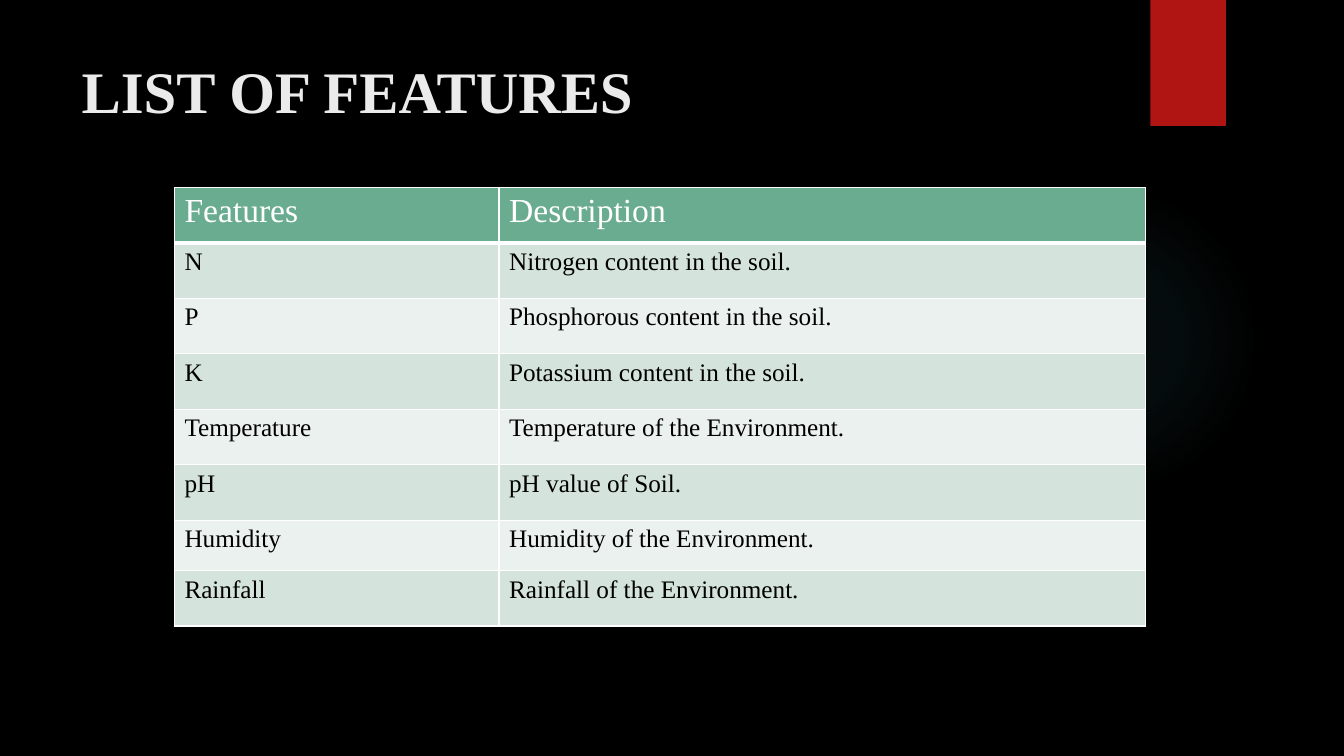
from lxml import etree
from pptx import Presentation
from pptx.dml.color import RGBColor
from pptx.enum.shapes import MSO_SHAPE
from pptx.enum.text import MSO_ANCHOR, PP_ALIGN
from pptx.oxml import parse_xml
from pptx.oxml.ns import nsdecls, qn
from pptx.util import Inches, Pt

OVAL, RECT = MSO_SHAPE.OVAL, MSO_SHAPE.RECTANGLE
TOP, LEFT = MSO_ANCHOR.TOP, PP_ALIGN.LEFT

BLACK = RGBColor(0x00, 0x00, 0x00)
WHITE = RGBColor(0xFF, 0xFF, 0xFF)
TITLE_GREY = RGBColor(0xEB, 0xEB, 0xEB)
RED = RGBColor(0xB0, 0x15, 0x13)
GLOW_TEAL = RGBColor(0x50, 0xB9, 0xC1)
HEADER_GREEN = RGBColor(0x6A, 0xAC, 0x90)
BANDS = [RGBColor(0xD4, 0xE3, 0xDB), RGBColor(0xEB, 0xF1, 0xEE)]

FONT = "Times New Roman"
GLOW_STOPS = [(0, 7), (36, 6), (69, 0)]  # position and opacity in percent
COLUMN_WIDTHS = [3.22, 6.41]
ROW_HEIGHTS = [0.55] * 6 + [0.5, 0.55]
FEATURES = [
    ("Features", "Description"),
    ("N", "Nitrogen content in the soil."),
    ("P", "Phosphorous content in the soil."),
    ("K", "Potassium content in the soil."),
    ("Temperature", "Temperature of the Environment."),
    ("pH", "pH value of Soil."),
    ("Humidity", "Humidity of the Environment."),
    ("Rainfall", "Rainfall of the Environment."),
]


def format_text(tf, text, size, color, bold=False):
    p = tf.paragraphs[0]
    p.alignment = LEFT
    r = p.add_run()
    r.text = text
    for name, value in {"name": FONT, "size": Pt(size), "bold": bold}.items():
        setattr(r.font, name, value)
    r.font.color.rgb = color


def add_plain_shape(slide, kind, left, top, width, height, color):
    sp = slide.shapes.add_shape(
        kind, Inches(left), Inches(top), Inches(width), Inches(height))
    sp.shadow.inherit = False
    sp.fill.solid()
    sp.fill.fore_color.rgb = color
    sp.line.fill.background()
    return sp


def fade_radially(sp, color, stops):
    """Replace the solid fill with a gradient of changing opacity."""
    stop_xml = "".join(
        f'<a:gs pos="{pos * 1000}"><a:srgbClr val="{color}">'
        f'<a:alpha val="{alpha * 1000}"/></a:srgbClr></a:gs>'
        for pos, alpha in stops)
    gradient = parse_xml(
        f'<a:gradFill {nsdecls("a")}><a:gsLst>{stop_xml}</a:gsLst>'
        '<a:path path="circle">'
        '<a:fillToRect l="50000" t="50000" r="50000" b="50000"/>'
        '</a:path></a:gradFill>')
    sp_pr = sp.element.spPr
    sp_pr.replace(sp_pr.find(qn("a:solidFill")), gradient)


def set_borders(cell, widths):
    """Draw white cell borders; widths maps a side (L, R, T, B) to points."""
    tc_pr = cell._tc.get_or_add_tcPr()
    for i, (side, width) in enumerate(widths.items()):
        line = etree.Element(qn(f"a:ln{side}"), w=str(Pt(width)))
        fill = etree.SubElement(line, qn("a:solidFill"))
        etree.SubElement(fill, qn("a:srgbClr"), val=str(WHITE))
        tc_pr.insert(i, line)


def add_title(slide, text):
    title = slide.shapes.title
    box = {"left": 0.71, "top": 0.49, "width": 10.29, "height": 1.53}
    for name, value in box.items():
        setattr(title, name, Inches(value))
    title.text_frame.vertical_anchor = TOP
    format_text(title.text_frame, text, 42, TITLE_GREY, bold=True)


def add_feature_table(slide):
    table = slide.shapes.add_table(
        len(FEATURES), len(COLUMN_WIDTHS), Inches(1.73), Inches(1.86),
        Inches(sum(COLUMN_WIDTHS)), Inches(sum(ROW_HEIGHTS))).table
    for column, width in zip(table.columns, COLUMN_WIDTHS):
        column.width = Inches(width)
    for i, (row, height) in enumerate(zip(table.rows, ROW_HEIGHTS)):
        row.height = Inches(height)
        header = i == 0
        for cell, text in zip(row.cells, FEATURES[i]):
            cell.fill.solid()
            cell.fill.fore_color.rgb = HEADER_GREEN if header else BANDS[(i - 1) % 2]
            format_text(cell.text_frame, text, 24 if header else 18,
                        WHITE if header else BLACK)
            set_borders(cell, {"L": 1, "R": 1, "T": 3 if i == 1 else 1,
                               "B": 3 if header else 1})


def main():
    prs = Presentation()
    prs.slide_width, prs.slide_height = Inches(13.33), Inches(7.5)
    slide = prs.slides.add_slide(prs.slide_layouts[5])
    slide.background.fill.solid()
    slide.background.fill.fore_color.rgb = BLACK

    glow = add_plain_shape(slide, OVAL, 9.41, 1.83, 3.08, 3.08, GLOW_TEAL)
    fade_radially(glow, GLOW_TEAL, GLOW_STOPS)
    add_plain_shape(slide, RECT, 11.41, 0, 0.75, 1.25, RED)
    add_title(slide, "LIST OF FEATURES")
    add_feature_table(slide)
    prs.save("out.pptx")


if __name__ == "__main__":
    main()
